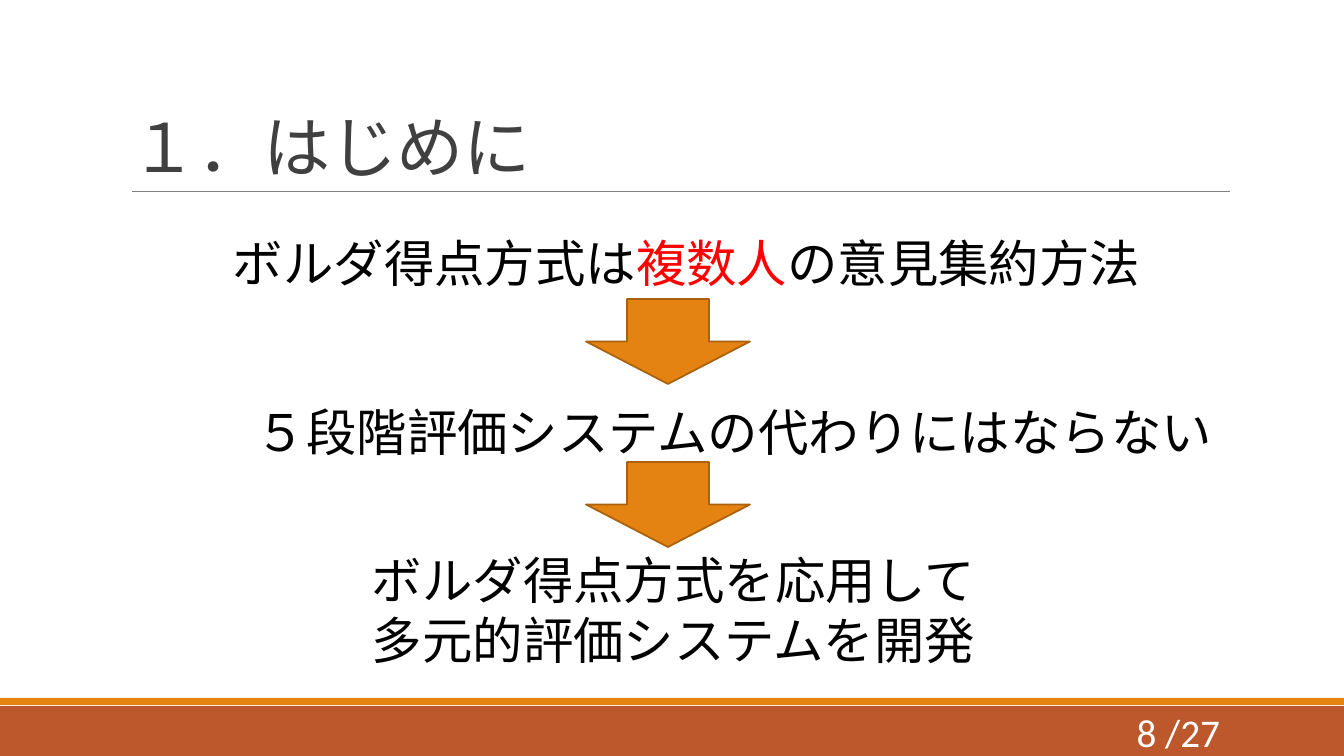
from lxml import etree
from pptx import Presentation, util as u
from pptx.dml.color import RGBColor
from pptx.enum import shapes, text
from pptx.oxml.ns import qn

PX = 914400 / 100.8
ORANGE, RUST, BLACK, RED = "E48312", "BD582C", "000000", "FF0000"


def px(*lengths):
    return [round(length * PX) for length in lengths]


def color(value):
    return RGBColor.from_string(value)


deck = Presentation()
deck.slide_width, deck.slide_height = px(1344, 756)
page = deck.slides.add_slide(deck.slide_layouts[6])

# Footer bands and the two arrows between the statements
RECT, ARROW = shapes.MSO_SHAPE.RECTANGLE, shapes.MSO_SHAPE.DOWN_ARROW
for kind, area, fill, outline in [
    (RECT, (0, 706, 1344, 50), RUST, None),
    (RECT, (0, 698, 1344, 7), ORANGE, None),
    (ARROW, (586, 299, 164, 85), ORANGE, "A9610D"),
    (ARROW, (586, 462, 164, 85), ORANGE, "A9610D"),
]:
    shape = page.shapes.add_shape(kind, *px(*area))
    shape.shadow.inherit = False
    shape.fill.solid()
    shape.fill.fore_color.rgb = color(fill)
    if outline:
        shape.line.color.rgb = color(outline)
        shape.line.width = u.Pt(1.25)
    else:
        shape.line.fill.background()

# Rule under the title
rule = page.shapes.add_connector(shapes.MSO_CONNECTOR.STRAIGHT, *px(132, 191, 1230, 191))
rule.line.color.rgb = color("808080")
rule.line.width = u.Pt(0.5)
etree.SubElement(rule._element.spPr, qn("a:effectLst"))

# Each text: area, size, anchor, alignment, paragraphs of (words, colour) spans
TOP, MIDDLE, BOTTOM = text.MSO_ANCHOR.TOP, text.MSO_ANCHOR.MIDDLE, text.MSO_ANCHOR.BOTTOM
LEFT, RIGHT = text.PP_ALIGN.LEFT, text.PP_ALIGN.RIGHT
boxes = []
for area, size, anchor, align, paragraphs in [
    ((121, 31, 1109, 160), 48, BOTTOM, LEFT, [[("１．はじめに", "404040")]]),
    ((951, 712, 279, 40), 28, MIDDLE, RIGHT, [[("8 /27", "FFFFFF")]]),
    ((223, 227, 1052, 72), 36, TOP, LEFT,
     [[("ボルダ得点方式は", BLACK), ("複数人", RED), ("の意見集約方法", BLACK)]]),
    ((246, 396, 1052, 72), 36, TOP, LEFT,
     [[("５段階評価システムの代わりにはならない", BLACK)]]),
    ((362, 544, 686, 132), 36, TOP, LEFT,
     [[("ボルダ得点方式を応用して", BLACK)], [("多元的評価システムを開発", BLACK)]]),
]:
    box = page.shapes.add_textbox(*px(*area))
    frame = box.text_frame
    frame.word_wrap = True
    frame.vertical_anchor = anchor
    for index, spans in enumerate(paragraphs):
        para = frame.add_paragraph() if index else frame.paragraphs[0]
        para.alignment = align
        for words, ink in spans:
            span = para.add_run()
            span.text = words
            span.font.name = "Calibri"
            span.font.size = u.Pt(size)
            span.font.color.rgb = color(ink)
    boxes.append(box)

# The title is set tighter than the other texts
title = boxes[0].text_frame.paragraphs[0]
title.line_spacing = 0.85
title.runs[0].font._element.set("spc", "-50")

deck.save("out.pptx")
